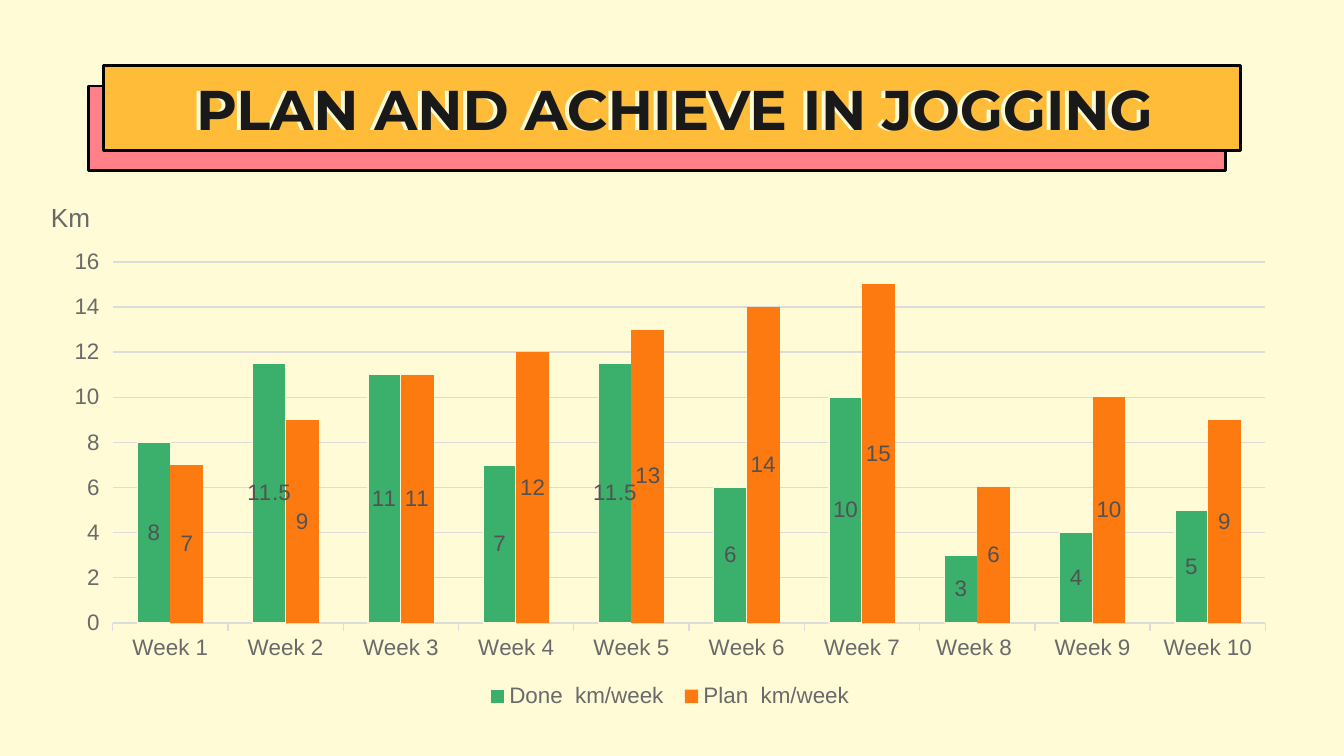
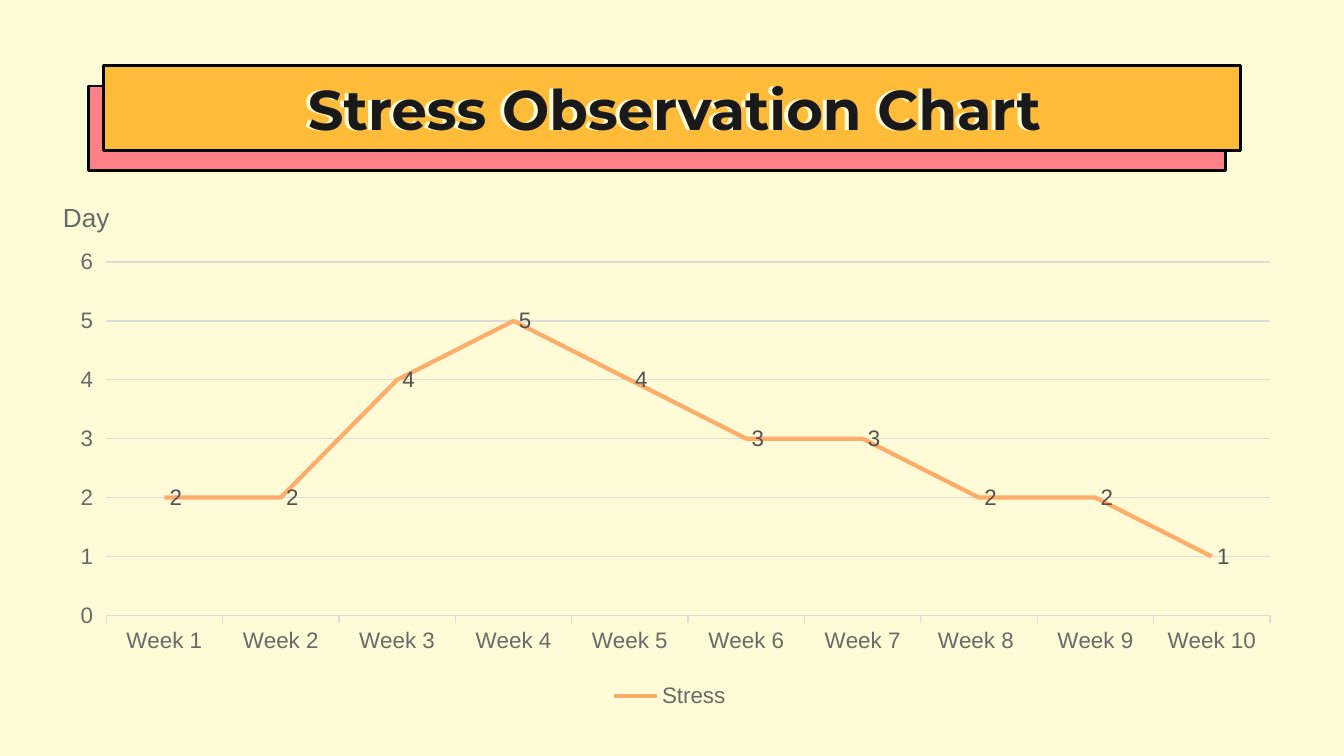
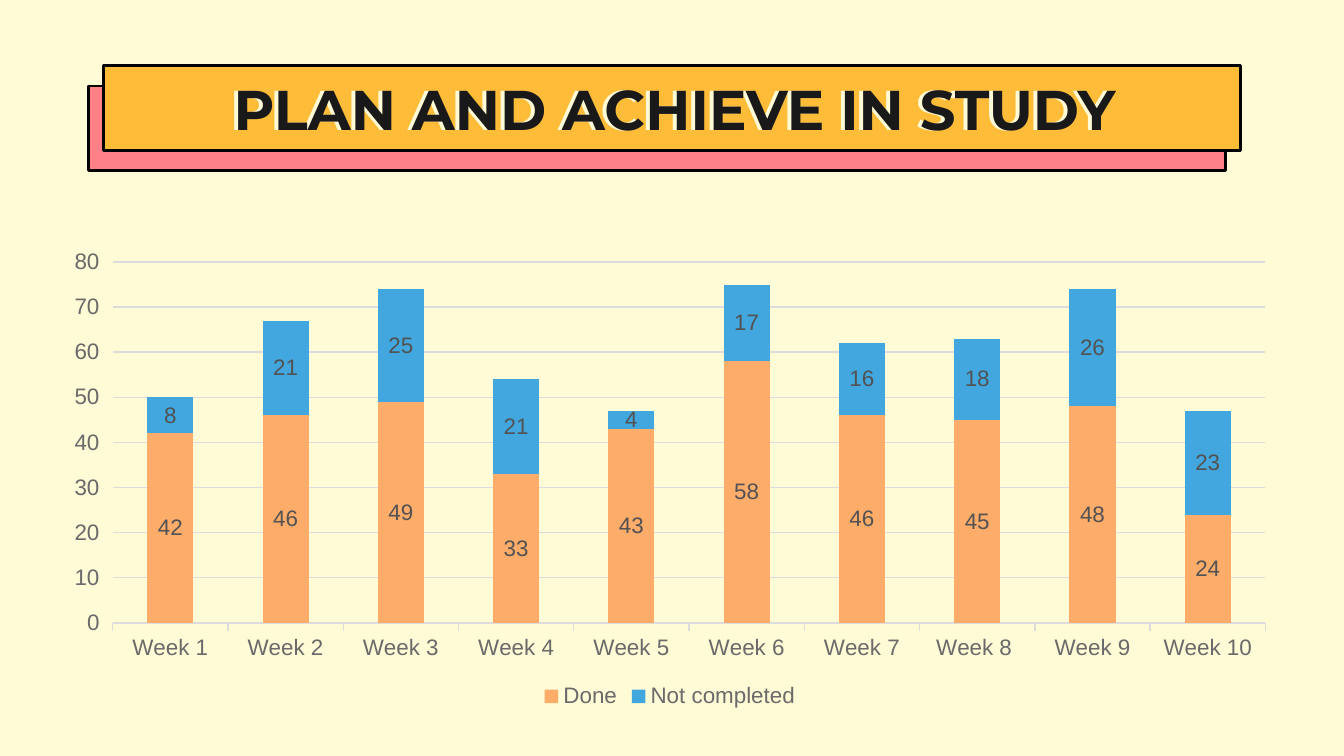
"""Build three slides of weekly jogging, stress and study charts."""
from lxml import etree
from pptx import Presentation, util as u
from pptx.chart import data as cd
from pptx.dml import color as col
from pptx.enum import chart as ec, shapes as sh, text as tx
from pptx.oxml import ns

Inches, Pt, RGB = u.Inches, u.Pt, col.RGBColor
CREAM = RGB(0xFF, 0xFB, 0xD6)
PINK = RGB(0xFF, 0x80, 0x87)
GOLD = RGB(0xFF, 0xBC, 0x38)
BLACK = RGB(0, 0, 0)
INK = RGB(0x19, 0x19, 0x19)
GREY = RGB(0x6A, 0x6A, 0x6A)
UNIT = RGB(0x69, 0x69, 0x69)
DARK = RGB(0x52, 0x52, 0x52)
RULE = RGB(0xDC, 0xDC, 0xDC)
GREEN = RGB(0x3A, 0xB0, 0x6C)
ORANGE = RGB(0xFD, 0x7A, 0x11)
PEACH = RGB(0xFE, 0xAC, 0x6A)
BLUE = RGB(0x42, 0xA7, 0xDE)

HEAD = {"name": "Montserrat", "size": Pt(30), "bold": True, "color": INK}
NOTE = {"name": "Arial", "size": Pt(14), "color": UNIT}
BASE = {"name": "Arial", "size": Pt(10), "color": INK}
AXIS = {"name": "Arial", "size": Pt(12), "color": GREY}
MARK = {"name": "Arial", "size": Pt(12), "color": DARK}
BANDS = [(0.66, 0.64, PINK), (0.77, 0.49, GOLD)]
WIDE, HIGH = 8.46, 0.63
SPAN, TALL = 9.23, 3.52
WEEKS = ["Week 1", "Week 2", "Week 3", "Week 4", "Week 5",
         "Week 6", "Week 7", "Week 8 ", "Week 9", "Week 10"]
INNER = {"layoutTarget": "inner", "xMode": "edge", "yMode": "edge",
         "x": 0.42 / SPAN, "y": 0.16 / TALL, "w": 8.66 / SPAN, "h": 2.63 / TALL}
KIND = ec.XL_CHART_TYPE
PAGES = [
    ("PLAN AND ACHIEVE IN JOGGING", KIND.COLUMN_CLUSTERED, ("Km", 0.28, 0.51), [
        ("Done  km/week ", GREEN, CREAM, (8, 11.5, 11, 7, 11.5, 6, 10, 3, 4, 5)),
        ("Plan  km/week", ORANGE, None, (7, 9, 11, 12, 13, 14, 15, 6, 10, 9))]),
    ("Stress Observation Chart", KIND.LINE, ("Day", 0.37, 0.55), [
        ("Stress", PEACH, PEACH, (2, 2, 4, 5, 4, 3, 3, 2, 2, 1))]),
    ("PLAN AND ACHIEVE IN STUDY", KIND.COLUMN_STACKED, None, [
        ("Done", PEACH, None, (42, 46, 49, 33, 43, 58, 46, 45, 48, 24)),
        ("Not completed", BLUE, None, (8, 21, 25, 21, 4, 17, 16, 18, 26, 23))]),
]


def style(font, form):
    """Apply a dict of format values to a font."""
    for key, val in form.items():
        if key == "color":
            font.color.rgb = val
        else:
            setattr(font, key, val)


def write(slide, words, place, form):
    """Add a one-line text box and return it."""
    box = slide.shapes.add_textbox(*map(Inches, place))
    run = box.text_frame.paragraphs[0].add_run()
    run.text = words
    style(run.font, form)
    return box


prs = Presentation()
prs.slide_width, prs.slide_height = Inches(10), Inches(10 * 9 / 16)
back = prs.slide_master.background.fill
back.solid()
back.fore_color.rgb = CREAM

for title, kind, unit, rows in PAGES:
    slide = prs.slides.add_slide(prs.slide_layouts[6])
    for left, top, tint in BANDS:
        band = slide.shapes.add_shape(
            sh.MSO_SHAPE.RECTANGLE, *map(Inches, (left, top, WIDE, HIGH)))
        band.shadow.inherit = False
        band.fill.solid()
        band.fill.fore_color.rgb = tint
        band.line.color.rgb = BLACK
        band.line.width = Pt(1.5)

    head = write(slide, title, (0.79, 0.49, WIDE, HIGH), HEAD)
    frame = head.text_frame
    form = {"word_wrap": True, "vertical_anchor": tx.MSO_ANCHOR.MIDDLE}
    form.update({f"margin_{side}": Inches(0.1)
                 for side in ("left", "top", "right", "bottom")})
    for key, val in form.items():
        setattr(frame, key, val)
    frame.paragraphs[0].alignment = tx.PP_ALIGN.CENTER
    glow = etree.SubElement(head._element.spPr, ns.qn("a:effectLst"))
    cast = etree.SubElement(glow, ns.qn("a:outerShdw"), dist=str(Inches(0.03)),
                            dir="10800000", algn="bl", rotWithShape="0")
    etree.SubElement(cast, ns.qn("a:srgbClr"), val=str(CREAM))

    data = cd.CategoryChartData()
    data.categories = WEEKS
    for name, tint, edge, vals in rows:
        data.add_series(name, vals)
    place = map(Inches, (0.37, 1.79, SPAN, TALL))
    chart = slide.shapes.add_chart(kind, *place, data).chart
    style(chart.font, BASE)
    chart.has_title = False
    chart.has_legend = True
    chart.legend.position = ec.XL_LEGEND_POSITION.BOTTOM
    chart.legend.include_in_layout = False
    style(chart.legend.font, AXIS)

    for axis in (chart.category_axis, chart.value_axis):
        axis.major_tick_mark = ec.XL_TICK_MARK.OUTSIDE
        axis.minor_tick_mark = ec.XL_TICK_MARK.NONE
        style(axis.tick_labels.font, AXIS)
    chart.value_axis.format.line.fill.background()
    chart.value_axis.has_major_gridlines = True
    for part in (chart.category_axis, chart.value_axis.major_gridlines):
        part.format.line.color.rgb = RULE
        part.format.line.width = Pt(0.75)

    plot = chart.plots[0]
    plot.vary_by_categories = False
    lined = kind == KIND.LINE
    if lined:
        area = chart._chartSpace.chart.plotArea
        for old in area.findall(ns.qn("c:layout")):
            area.remove(old)
        grid = etree.Element(ns.qn("c:layout"))
        area.insert(0, grid)
        hand = etree.SubElement(grid, ns.qn("c:manualLayout"))
        for key, val in INNER.items():
            etree.SubElement(hand, ns.qn(f"c:{key}"), val=str(val))
    else:
        plot.gap_width = 150
        plot.overlap = 100 if kind == KIND.COLUMN_STACKED else 0

    for item, (name, tint, edge, vals) in zip(plot.series, rows):
        if lined:
            item.smooth = False
        else:
            item.format.fill.solid()
            item.format.fill.fore_color.rgb = tint
        if edge:
            item.format.line.color.rgb = edge
            item.format.line.width = Pt(2.25 if lined else 0.75)
        tags = item.data_labels
        tags.show_value = True
        style(tags.font, MARK)
        spot = ec.XL_LABEL_POSITION
        tags.position = spot.RIGHT if lined else spot.CENTER

    if unit:
        words, left, width = unit
        note = write(slide, words, (left, 1.45, width, 0.34), NOTE)
        note.text_frame.word_wrap = words == "Km"
        note.text_frame.auto_size = tx.MSO_AUTO_SIZE.SHAPE_TO_FIT_TEXT

prs.save("out.pptx")
